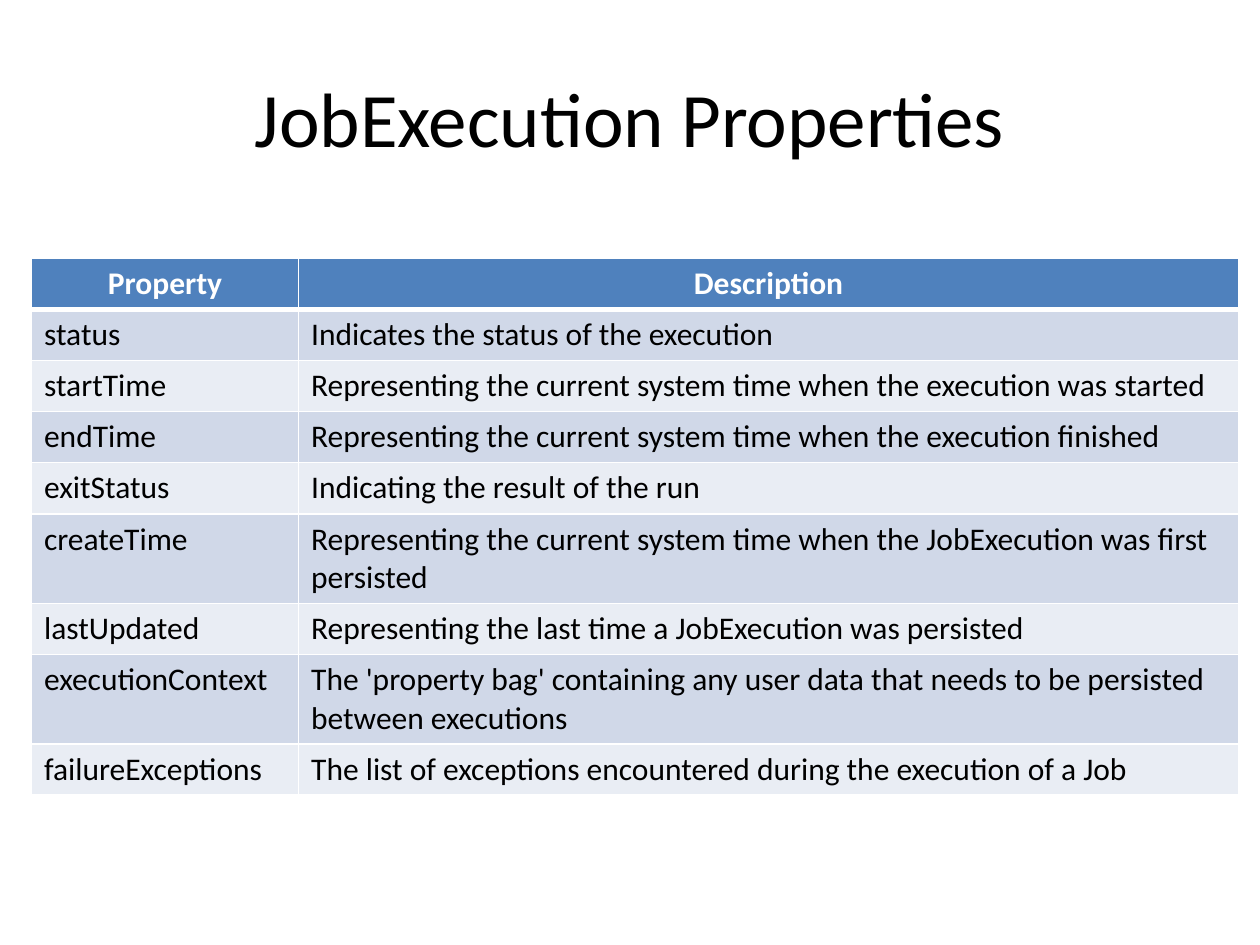
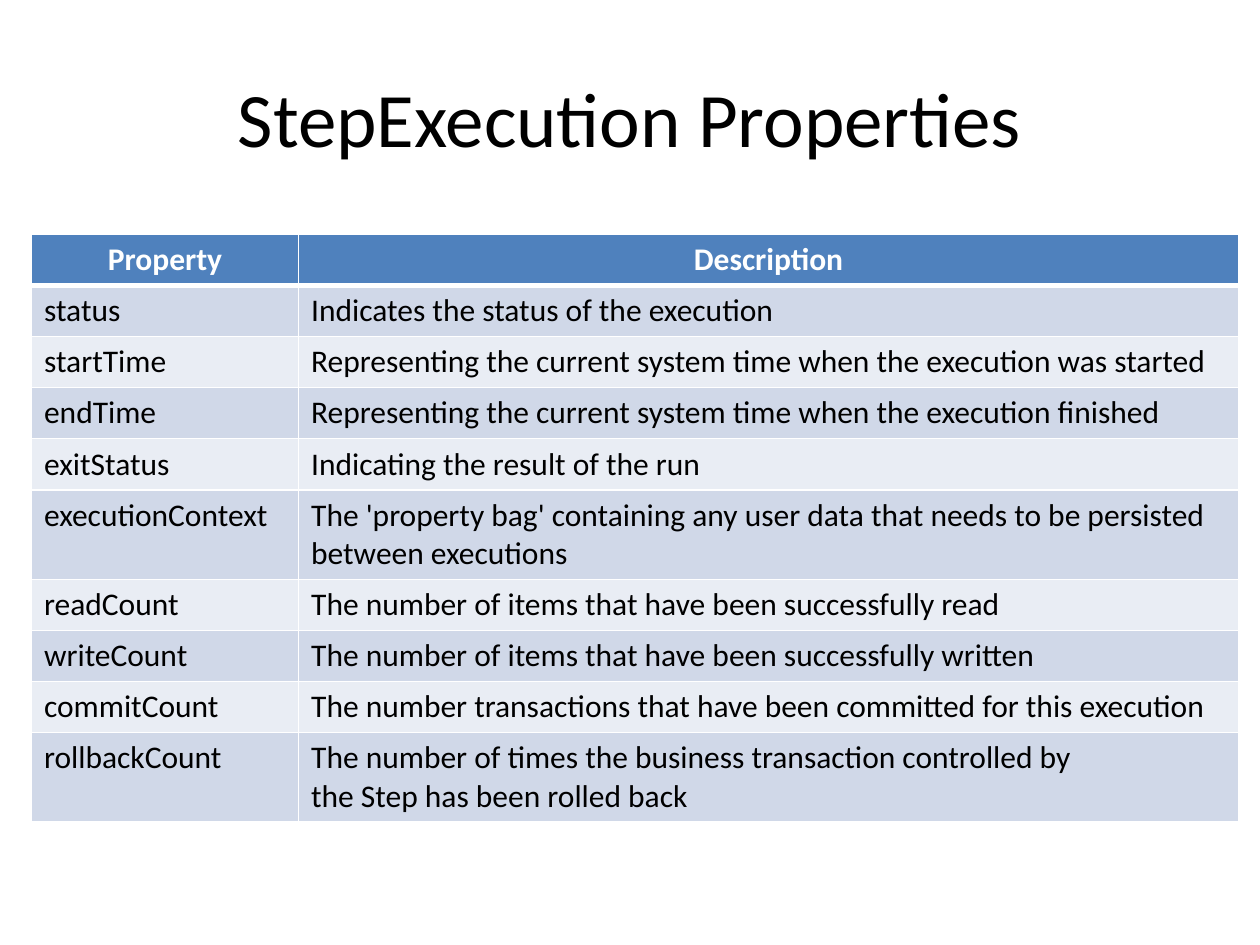
from lxml import etree
from pptx import Presentation
from pptx.dml.color import RGBColor
from pptx.enum.text import MSO_ANCHOR, PP_ALIGN
from pptx.oxml.ns import qn
from pptx.util import Inches, Pt

CENTER, LEFT = PP_ALIGN.CENTER, PP_ALIGN.LEFT
MIDDLE = MSO_ANCHOR.MIDDLE
TITLE_ONLY = 5

COLORS = {
    "text": "000000", "header_text": "FFFFFF", "border": "FFFFFF",
    "header": "4F81BD", "band_dark": "D0D8E8", "band_light": "E9EDF4",
}
FONT = "Calibri"
TITLE_FONT = {"name": FONT, "size": Pt(44), "bold": False}
HEADER_FONT = {"name": FONT, "size": Pt(18), "bold": True}
BODY_FONT = {"name": FONT, "size": Pt(18), "bold": False}

SLIDE_SIZE = (Inches(10), Inches(7.5))
TITLE_BOX = {"left": Inches(0.5), "top": Inches(0.3),
             "width": Inches(9), "height": Inches(1.25)}
TABLE_LEFT = Inches(0.25)
COLUMN_WIDTHS = (Inches(2.12), Inches(7.46))
ROW_HEIGHT = Pt(29.2)

HEADINGS = ("Property", "Description")
RUN_ROWS = [
    ("status", "Indicates the status of the execution"),
    ("startTime", "Representing the current system time when the execution was started"),
    ("endTime", "Representing the current system time when the execution finished"),
    ("exitStatus", "Indicating the result of the run"),
]
CONTEXT_ROW = ("executionContext", "The 'property bag' containing any user data "
               "that needs to be persisted between executions")
JOB_ROWS = RUN_ROWS + [
    ("createTime", "Representing the current system time when "
     "the\u00a0JobExecution\u00a0was first persisted"),
    ("lastUpdated", "Representing the last time a\u00a0JobExecution\u00a0was persisted"),
    CONTEXT_ROW,
    ("failureExceptions", "The list of exceptions encountered during "
     "the execution of a\u00a0Job"),
]
STEP_ROWS = RUN_ROWS + [
    CONTEXT_ROW,
    ("readCount", "The number of items that have been successfully read"),
    ("writeCount", "The number of items that have been successfully written"),
    ("commitCount", "The number transactions that have been committed for this execution"),
    ("rollbackCount", "The number of times the business transaction controlled "
     "by the\u00a0Step\u00a0has been rolled back"),
]
PAGES = [
    ("JobExecution Properties", Inches(2.05), JOB_ROWS),
    ("StepExecution Properties", Inches(1.86), STEP_ROWS),
]


def apply(target, values):
    """Set each attribute in values on the target."""
    for name, value in values.items():
        setattr(target, name, value)


def write(frame, text, font, color, align):
    """Put one formatted paragraph in a text frame."""
    para = frame.paragraphs[0]
    para.alignment = align
    span = para.add_run()
    span.text = text
    apply(span.font, font)
    span.font.color.rgb = RGBColor.from_string(COLORS[color])


def add_title(page, text):
    """Place and fill the title placeholder."""
    title = page.shapes.title
    apply(title, TITLE_BOX)
    title.text_frame.vertical_anchor = MIDDLE
    write(title.text_frame, text, TITLE_FONT, "text", CENTER)


def add_borders(cell, top, bottom):
    """Draw the four cell edges, with the sides one point wide."""
    properties = cell._tc.get_or_add_tcPr()
    widths = {"a:lnL": 1, "a:lnR": 1, "a:lnT": top, "a:lnB": bottom}
    for place, (tag, width) in enumerate(widths.items()):
        line = etree.Element(qn(tag), w=str(Pt(width)))
        fill = etree.SubElement(line, qn("a:solidFill"))
        etree.SubElement(fill, qn("a:srgbClr"), val=COLORS["border"])
        properties.insert(place, line)


def fill_cell(cell, text, row):
    """Style one cell as a heading or as part of a banded row."""
    if row == 0:
        fill, font, color, align = "header", HEADER_FONT, "header_text", CENTER
    else:
        fill = "band_dark" if row % 2 else "band_light"
        font, color, align = BODY_FONT, "text", LEFT
    cell.fill.solid()
    cell.fill.fore_color.rgb = RGBColor.from_string(COLORS[fill])
    write(cell.text_frame, text, font, color, align)
    add_borders(cell, top=3 if row == 1 else 1, bottom=3 if row == 0 else 1)


def add_property_table(page, top, entries):
    """Add the headings and the property rows as a table."""
    rows = [HEADINGS] + entries
    table = page.shapes.add_table(
        len(rows), len(HEADINGS), TABLE_LEFT, top,
        sum(COLUMN_WIDTHS), ROW_HEIGHT * len(rows)).table
    for column, width in zip(table.columns, COLUMN_WIDTHS):
        column.width = width
    for row, texts in enumerate(rows):
        table.rows[row].height = ROW_HEIGHT
        for column, text in enumerate(texts):
            fill_cell(table.cell(row, column), text, row)


def main():
    """Build the property pages and save the deck."""
    deck = Presentation()
    deck.slide_width, deck.slide_height = SLIDE_SIZE
    for title, top, entries in PAGES:
        page = deck.slides.add_slide(deck.slide_layouts[TITLE_ONLY])
        add_title(page, title)
        add_property_table(page, top, entries)
    deck.save("out.pptx")


main()
